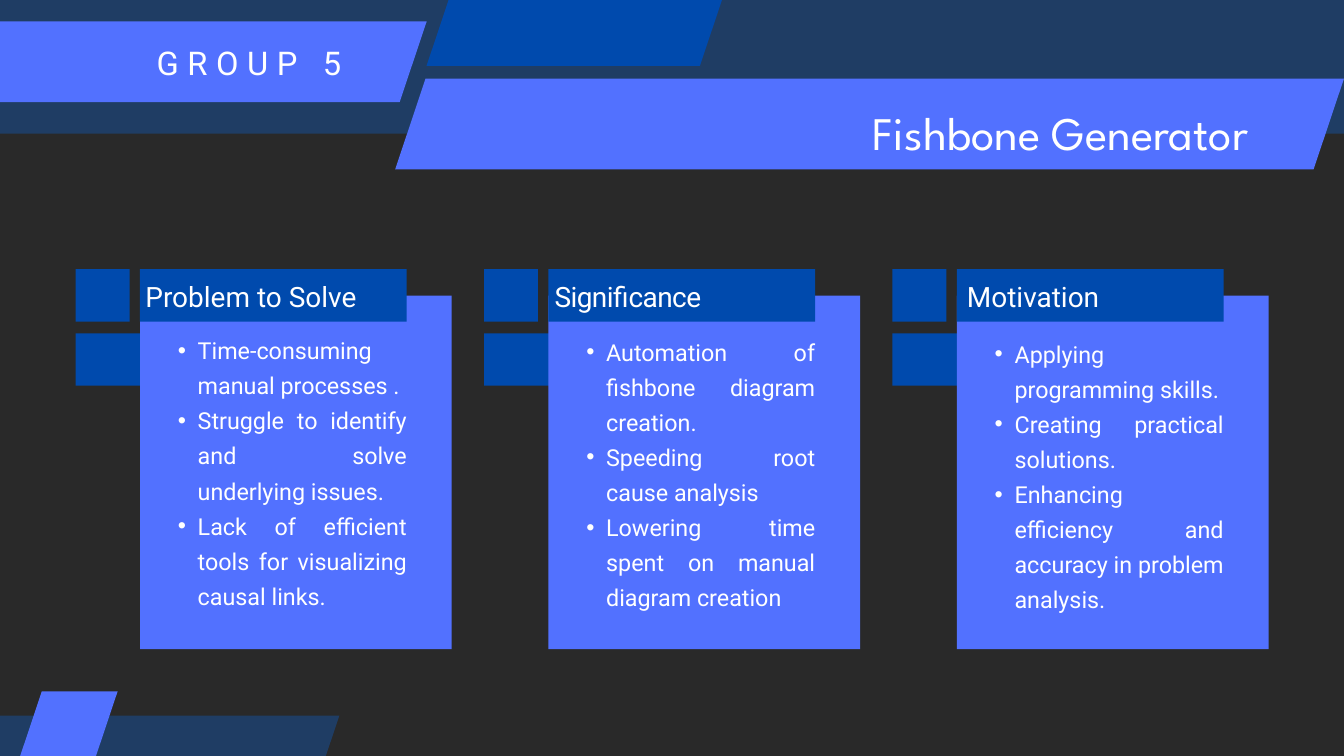
import pptx
import pptx.dml.color
import pptx.enum.shapes
import pptx.enum.text
import pptx.oxml.ns
import pptx.util
from lxml import etree

Pt = pptx.util.Pt
Align = pptx.enum.text.PP_ALIGN
Shape = pptx.enum.shapes.MSO_SHAPE

COLORS = {
    "background": "292929",
    "navy": "1F3D64",
    "blue": "004AAD",
    "violet": "5271FF",
    "white": "FFFFFF",
}

CARDS = [
    ("Problem to Solve", 5.8, 0, 352.8, [
        "Time-consuming manual processes .",
        "Struggle to identify and solve underlying issues.",
        "Lack of efficient tools for visualizing causal links.",
    ]),
    ("Significance", 6.5, -0.6, 354.2, [
        "Automation of fishbone diagram creation.",
        "Speeding root cause analysis",
        "Lowering time spent on manual diagram creation",
    ]),
    ("Motivation", 10.8, 0, 356.4, [
        "Applying programming skills.",
        "Creating practical solutions.",
        "Enhancing efficiency and accuracy in problem analysis.",
    ]),
]


class SlideBuilder:
    """Holds the style and the current page, and draws each kind of element."""

    body_font = "Roboto"
    title_font = "League Spartan"
    slant = 0.335

    def __init__(self, page):
        self.page = page

    def color(self, name):
        return pptx.dml.color.RGBColor.from_string(COLORS[name])

    def background(self, name):
        fill = self.page.background.fill
        fill.solid()
        fill.fore_color.rgb = self.color(name)

    def block(self, left, top, width, height, fill, kind=Shape.RECTANGLE):
        shape = self.page.shapes.add_shape(kind, Pt(left), Pt(top), Pt(width), Pt(height))
        shape.shadow.inherit = False
        shape.fill.solid()
        shape.fill.fore_color.rgb = self.color(fill)
        shape.line.fill.background()
        return shape

    def slanted(self, left, top, width, height, fill):
        shape = self.block(left, top, width, height, fill, Shape.PARALLELOGRAM)
        shape.adjustments[0] = self.slant

    def text(self, left, top, width, height, lines, size, leading,
             font=body_font, align=Align.LEFT, tracking=0, bullets=False):
        box = self.page.shapes.add_textbox(Pt(left), Pt(top), Pt(width), Pt(height))
        frame = box.text_frame
        frame.word_wrap = True
        frame.auto_size = pptx.enum.text.MSO_AUTO_SIZE.SHAPE_TO_FIT_TEXT
        frame.margin_left = frame.margin_top = frame.margin_right = frame.margin_bottom = 0
        for index, line in enumerate(lines):
            para = frame.add_paragraph() if index else frame.paragraphs[0]
            span = para.add_run()
            span.text = line
            if tracking:
                span._r.get_or_add_rPr().set("spc", str(round(tracking * 100)))
            if bullets:
                self.bullet(para)
            para.alignment = align
            para.line_spacing = Pt(leading)
            para.font.size = Pt(size)
            para.font.name = font
            para.font.color.rgb = self.color("white")

    def bullet(self, para):
        para.level = 1
        props = para._p.get_or_add_pPr()
        props.set("marL", str(Pt(42.5)))
        props.set("indent", str(Pt(-21.25)))
        for tag, attribute, value in (("a:buFont", "typeface", "Arial"), ("a:buChar", "char", "•")):
            etree.SubElement(props, pptx.oxml.ns.qn(tag)).set(attribute, value)

    def card(self, left, heading, inset, tracking, list_top, points):
        panel = left + 69
        self.block(left, 288.5, 57.8, 56, "blue")
        self.block(left, 357.1, 94.3, 56, "blue")
        self.block(panel, 316.8, 334, 378.7, "violet")
        self.block(panel, 288.5, 285.8, 56, "blue")
        self.text(panel + inset, 293, 270, 41, [heading], 30, 42.1, tracking=tracking)
        self.text(panel + 19.4, list_top, 266.4, 298, points, 25, 37.6,
                  align=Align.JUSTIFY, bullets=True)


def main():
    deck = pptx.Presentation()
    deck.slide_width, deck.slide_height = Pt(1440), Pt(810)
    builder = SlideBuilder(deck.slides.add_slide(deck.slide_layouts[6]))
    builder.background("background")

    builder.block(-54, -47.5, 1598.4, 190.8, "navy")
    builder.slanted(457, -14.4, 321.4, 85, "blue")
    builder.slanted(423.4, 84.2, 1016.6, 97.2, "violet")
    builder.slanted(-54, 23, 511.2, 86.4, "violet")
    builder.slanted(-70.6, 766.8, 434.2, 86.4, "navy")
    builder.slanted(21.6, 740.9, 104.4, 69.1, "violet")

    builder.text(167.8, 38.9, 237.6, 47.5, ["GROUP 5"], 35, 49.1, tracking=9.2)
    builder.text(547.9, 100.8, 789.8, 67.7, ["Fishbone Generator"], 50, 70,
                 font=builder.title_font, align=Align.RIGHT)

    for index, card in enumerate(CARDS):
        builder.card(81 + index * 437.6, *card)

    deck.save("out.pptx")


if __name__ == "__main__":
    main()
